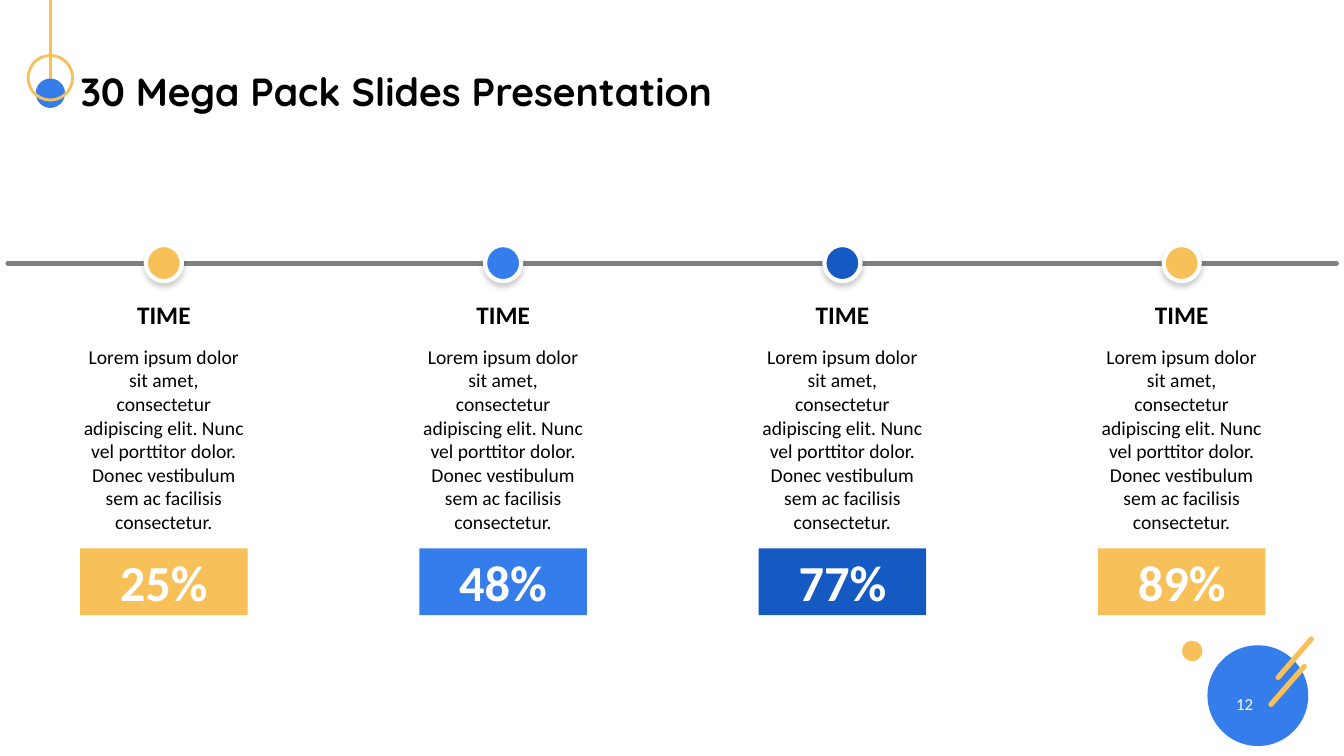
from dataclasses import dataclass

from lxml import etree
from pptx import Presentation
from pptx import util as u
from pptx.dml.color import RGBColor
from pptx.enum import shapes, text
from pptx.oxml.ns import qn
from pptx.util import Cm

OVAL = shapes.MSO_SHAPE.OVAL
RECT = shapes.MSO_SHAPE.RECTANGLE
ALIGN = text.PP_ALIGN
MIDDLE = text.MSO_ANCHOR.MIDDLE


@dataclass(frozen=True)
class Theme:
    yellow: str = "F7C059"
    blue: str = "357DEA"
    navy: str = "145AC2"
    gray: str = "808080"
    white: str = "FFFFFF"
    black: str = "000000"
    title_font: str = "Quicksand"
    body_font: str = "Calibri"
    title_size: int = 28
    badge_size: int = 36
    head_size: int = 18
    body_size: int = 14
    number_size: int = 12


@dataclass(frozen=True)
class Box:
    """Left, top, width and height in centimetres."""
    x: float
    y: float
    w: float
    h: float

    def lengths(self) -> tuple:
        return Cm(self.x), Cm(self.y), Cm(self.w), Cm(self.h)


@dataclass(frozen=True)
class Stroke:
    start: tuple[float, float]
    end: tuple[float, float]
    color: str
    width: float
    round_cap: bool = True


@dataclass(frozen=True)
class Milestone:
    value: str
    color: str


T = Theme()
HEAD = "TIME"
BODY = ("Lorem ipsum dolor sit amet, consectetur adipiscing elit. Nunc vel "
        "porttitor dolor. Donec vestibulum sem ac facilisis consectetur.")
MILESTONES = [Milestone("25%", T.yellow), Milestone("48%", T.blue),
              Milestone("77%", T.navy), Milestone("89%", T.yellow)]
FIRST_CENTER, PITCH, LINE_Y = 4.13, 8.55, 6.63
COLUMN_W, HEAD_W, DOT = 4.22, 3.56, 0.91

STEM = Stroke((1.27, 0), (1.27, 1.98), T.yellow, 2, round_cap=False)
TIMELINE = Stroke((0.2, LINE_Y), (33.68, LINE_Y), T.gray, 3.5)
DASHES = [Stroke((33.05, 16.1), (32.21, 17.07), T.yellow, 3.75),
          Stroke((32.87, 16.79), (32.03, 17.75), T.yellow, 3.75)]


def rgb(color: str) -> RGBColor:
    return RGBColor.from_string(color)


def add_stroke(s, stroke: Stroke) -> None:
    (x1, y1), (x2, y2) = stroke.start, stroke.end
    cx = s.shapes.add_connector(shapes.MSO_CONNECTOR.STRAIGHT,
                                Cm(x1), Cm(y1), Cm(x2), Cm(y2))
    cx.line.color.rgb = rgb(stroke.color)
    cx.line.width = u.Pt(stroke.width)
    sp_pr = cx._element.spPr
    if stroke.round_cap:
        sp_pr.find(qn("a:ln")).set("cap", "rnd")
    etree.SubElement(sp_pr, qn("a:effectLst"))


def add_figure(s, kind, box: Box, fill: str | None = None,
               line: str | None = None, width: float = 0):
    sp = s.shapes.add_shape(kind, *box.lengths())
    sp.shadow.inherit = False
    if fill:
        sp.fill.solid()
        sp.fill.fore_color.rgb = rgb(fill)
    else:
        sp.fill.background()
    if line:
        sp.line.color.rgb = rgb(line)
        sp.line.width = u.Pt(width)
    else:
        sp.line.fill.background()
    return sp


def drop_shadow(sp) -> None:
    """Cast a soft shadow, 20 % black, straight down."""
    effects = sp._element.spPr.find(qn("a:effectLst"))
    shadow = etree.SubElement(effects, qn("a:outerShdw"), blurRad=str(u.Pt(4)),
                              dist=str(u.Pt(3)), dir="5400000",
                              algn="t", rotWithShape="0")
    color = etree.SubElement(shadow, qn("a:srgbClr"), val=T.black)
    etree.SubElement(color, qn("a:alpha"), val="20000")


def write(sp, content: str, size: int, color: str = T.black, bold: bool = False,
          font: str = T.body_font, align=ALIGN.CENTER,
          anchor=text.MSO_ANCHOR.TOP, side: float = 0):
    """Fill a shape with one run; side is the left and right inset in cm."""
    tf = sp.text_frame
    tf.word_wrap = True
    tf.vertical_anchor = anchor
    tf.margin_left = tf.margin_right = Cm(side)
    tf.margin_top = tf.margin_bottom = 0
    p = tf.paragraphs[0]
    p.alignment = align
    r = p.add_run()
    r.text = content
    r.font.size, r.font.bold, r.font.name = u.Pt(size), bold, font
    r.font.color.rgb = rgb(color)
    return p


def add_text(s, box: Box, content: str, size: int, **style):
    return write(s.shapes.add_textbox(*box.lengths()), content, size, **style)


def add_milestone(s, center: float, m: Milestone) -> None:
    left = center - COLUMN_W / 2
    dot = add_figure(s, OVAL, Box(center - DOT / 2, LINE_Y - DOT / 2, DOT, DOT),
                     m.color, T.white, 3)
    drop_shadow(dot)
    add_text(s, Box(center - HEAD_W / 2, 7.54, HEAD_W, 0.76), HEAD,
             T.head_size, bold=True)
    add_text(s, Box(left, 8.69, COLUMN_W, 4.78), BODY, T.body_size)
    badge = add_figure(s, RECT, Box(left, 13.82, COLUMN_W, 1.68), m.color)
    write(badge, m.value, T.badge_size, T.white, bold=True, anchor=MIDDLE)


def add_header(s) -> None:
    add_stroke(s, STEM)
    add_figure(s, OVAL, Box(0.9, 1.98, 0.74, 0.74), T.blue)
    add_figure(s, OVAL, Box(0.71, 1.4, 1.12, 1.12), line=T.yellow, width=2)
    p = add_text(s, Box(2.03, 1.83, 29.79, 1.07),
                 "30 Mega Pack Slides Presentation", T.title_size, bold=True,
                 font=T.title_font, align=ALIGN.LEFT, anchor=MIDDLE)
    p.line_spacing = 0.9


def add_corner(s) -> None:
    add_figure(s, OVAL, Box(30.43, 16.26, 2.54, 2.54), T.blue)
    for dash in DASHES:
        add_stroke(s, dash)
    add_figure(s, OVAL, Box(29.79, 16.15, 0.51, 0.51), T.yellow)
    add_text(s, Box(24.21, 17.22, 7.62, 1.02), "12", T.number_size,
             color=T.white, align=ALIGN.RIGHT, anchor=MIDDLE, side=0.25)


def main() -> None:
    prs = Presentation()
    prs.slide_width, prs.slide_height = Cm(33.87), Cm(19.05)
    s = prs.slides.add_slide(prs.slide_layouts[6])
    add_corner(s)
    add_header(s)
    add_stroke(s, TIMELINE)
    for i, milestone in enumerate(MILESTONES):
        add_milestone(s, FIRST_CENTER + i * PITCH, milestone)
    prs.save("out.pptx")


if __name__ == "__main__":
    main()
